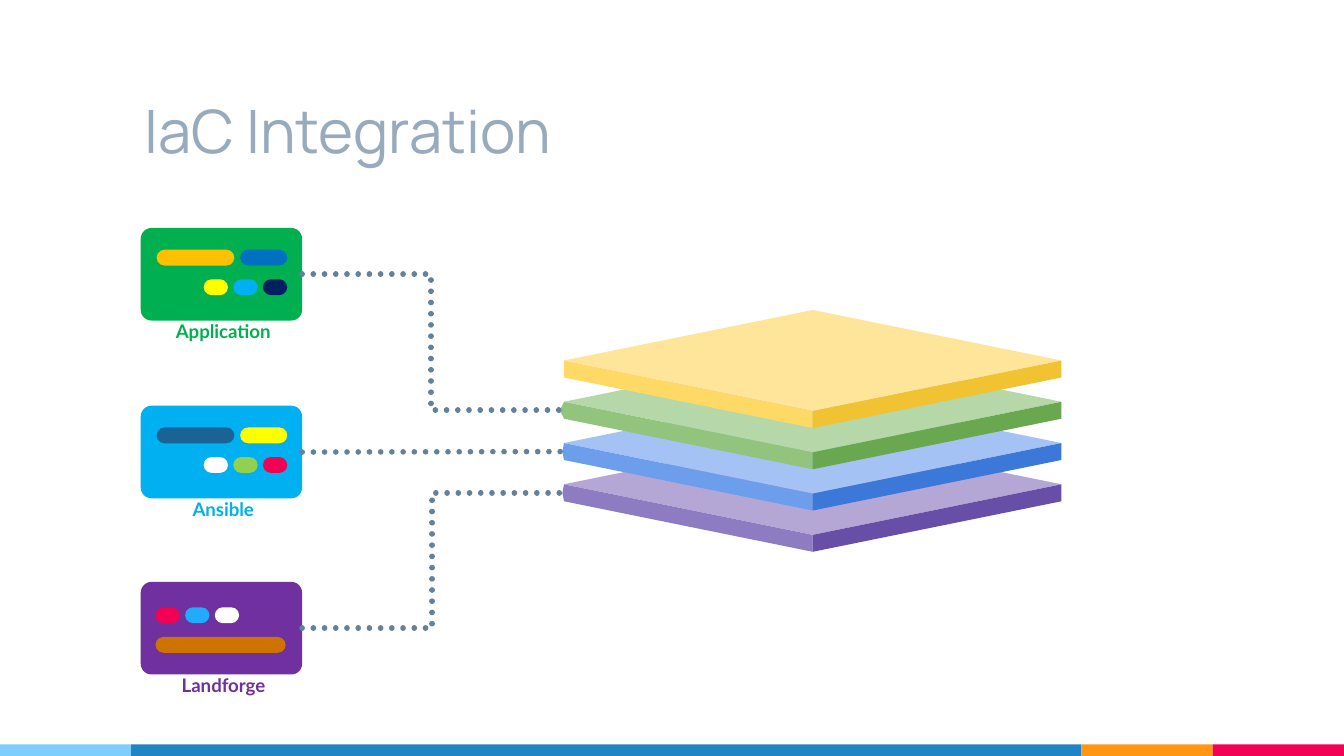
from lxml.etree import SubElement
from pptx import Presentation
from pptx.dml.color import RGBColor
from pptx.enum.dml import MSO_LINE
from pptx.enum.shapes import MSO_CONNECTOR, MSO_SHAPE
from pptx.enum.text import MSO_ANCHOR, MSO_AUTO_SIZE, PP_ALIGN
from pptx.oxml.ns import qn
from pptx.util import Cm, Pt

COLORS = {
    "title": "97ABBC", "link": "64819B", "white": "FFFFFF", "yellow": "FFFF00",
    "green": "00B050", "sky": "00B0F0", "purple": "7030A0", "amber": "FFC000",
    "blue": "0070C0", "navy": "002060", "steel": "196494", "lime": "92D050",
    "red": "F20253", "azure": "21ABFC", "brown": "CF7300",
    "bar_light": "7ECEFD", "bar_blue": "2185C5", "bar_orange": "FF9715",
    "gold_top": "FFE599", "gold_left": "FFD966", "gold_right": "F1C232",
    "green_top": "B6D7A8", "green_left": "93C47D", "green_right": "6AA84F",
    "blue_top": "A4C2F4", "blue_left": "6D9EEB", "blue_right": "3C78D8",
    "violet_top": "B4A7D6", "violet_left": "8E7CC3", "violet_right": "674EA7",
}
CARD_W, CARD_H = 3.05, 1.75
SLAB_W, SLAB_H, SLAB_THICK = 9.4, 1.91, 0.32
SLAB_X, SLAB_Y, SLAB_STEP = 10.66, 5.86, 0.78

# Pills of a card: left, top and width within the card, in cm
PILLS_LONG_FIRST = [(0.3, 0.41, 1.47), (1.88, 0.41, 0.89),
                    (1.19, 0.97, 0.46), (1.75, 0.97, 0.46), (2.31, 0.97, 0.46)]
PILLS_SHORT_FIRST = [(0.28, 0.48, 0.46), (0.84, 0.48, 0.46),
                     (1.4, 0.48, 0.46), (0.28, 1.04, 2.46)]

# Label, label width, top, card colour, pills, pill colours
CARDS = [
    ("Application", 2.36, 4.31, "green", PILLS_LONG_FIRST,
     ["amber", "blue", "yellow", "sky", "navy"]),
    ("Ansible", 1.73, 7.67, "sky", PILLS_LONG_FIRST,
     ["steel", "yellow", "white", "lime", "red"]),
    ("Landforge", 2.16, 11.0, "purple", PILLS_SHORT_FIRST,
     ["red", "azure", "white", "brown"]),
]
# Slab colour and how far its left edge bulges, top to bottom
SLABS = [("gold", 0), ("green", 0.08), ("blue", 0.03), ("violet", 0.03)]


def rgb(name):
    return RGBColor.from_string(COLORS[name])


def paint(s, color):
    s.fill.solid()
    s.fill.fore_color.rgb = rgb(color)
    s.line.fill.background()
    s.shadow.inherit = False


def add_run(p, text, size, font, color, bold=False):
    r = p.add_run()
    r.text = text
    r.font.size, r.font.name, r.font.bold = Pt(size), font, bold
    r.font.color.rgb = rgb(color)


def add_block(shapes, x, y, w, h, color, rounding=None):
    kind = MSO_SHAPE.RECTANGLE if rounding is None else MSO_SHAPE.ROUNDED_RECTANGLE
    s = shapes.add_shape(kind, Cm(x), Cm(y), Cm(w), Cm(h))
    if rounding is not None:
        s.adjustments[0] = rounding
    paint(s, color)


def add_face(shapes, points, color):
    points = [(Cm(x), Cm(y)) for x, y in points]
    builder = shapes.build_freeform(*points[0], scale=1.0)
    builder.add_line_segments(points[1:], close=True)
    paint(builder.convert_to_shape(), color)


def add_title(slide, x, y, w, h):
    s = slide.shapes.title
    s.left, s.top, s.width, s.height = Cm(x), Cm(y), Cm(w), Cm(h)
    tf = s.text_frame
    tf.auto_size = MSO_AUTO_SIZE.NONE
    tf.vertical_anchor = MSO_ANCHOR.BOTTOM
    tf.margin_left = tf.margin_right = tf.margin_top = tf.margin_bottom = Cm(0.25)
    p = tf.paragraphs[0]
    p.alignment = PP_ALIGN.LEFT
    add_run(p, "IaC Integration", 32, "Manrope", "title")


def add_footer_bar(slide, x, y, h):
    for color, w in [("bar_light", 2.48), ("bar_blue", 17.96),
                     ("bar_orange", 2.48), ("red", 2.48)]:
        add_block(slide.shapes, x, y, w, h, color)
        x += w


def add_slab(slide, x, y, w, h, color, bulge):
    """Draw one layer and return the point where a link meets its left edge."""
    shapes = slide.shapes.add_group_shape().shapes
    center, right, side, front = x + w / 2, x + w, y + h / 2, y + h
    mid = side + SLAB_THICK / 2
    add_face(shapes, [(x, side), (center, y), (right, side), (center, front)],
             f"{color}_top")
    add_face(shapes, [(x, side), (x - bulge, mid), (x, side + SLAB_THICK),
                      (center, front + SLAB_THICK), (center, front)], f"{color}_left")
    add_face(shapes, [(right, side), (center, front), (center, front + SLAB_THICK),
                      (right, side + SLAB_THICK)], f"{color}_right")
    return x - bulge, mid


def add_card(slide, x, y, w, h, label, label_w, color, pills, pill_colors):
    """Draw one labelled card and return the middle of its right edge."""
    shapes = slide.shapes.add_group_shape().shapes
    s = shapes.add_textbox(Cm(x + (w - label_w) / 2), Cm(y + 1.61),
                           Cm(label_w), Cm(0.69))
    tf = s.text_frame
    tf.word_wrap = False
    tf.auto_size = MSO_AUTO_SIZE.SHAPE_TO_FIT_TEXT
    p = tf.paragraphs[0]
    p.alignment = PP_ALIGN.RIGHT
    add_run(p, label, 10, "Lato", color, bold=True)
    add_block(shapes, x, y, w, h, color, 0.116)
    for (dx, dy, pill_w), pill_color in zip(pills, pill_colors):
        add_block(shapes, x + dx, y + dy, pill_w, 0.3, pill_color, 0.5)
    return x + w, y + h / 2


def add_link(slide, start, end, kind):
    c = slide.shapes.add_connector(kind, *map(Cm, start + end))
    c.line.color.rgb = rgb("link")
    c.line.width = Pt(3)
    c.line.dash_style = MSO_LINE.ROUND_DOT
    sp_pr = c._element.spPr
    sp_pr.find(qn("a:ln")).set("cap", "rnd")
    SubElement(sp_pr, qn("a:effectLst"))


def main():
    prs = Presentation()
    prs.slide_width, prs.slide_height = Cm(25.4), Cm(14.29)
    slide = prs.slides.add_slide(prs.slide_layouts[5])
    add_footer_bar(slide, 0, 14.07, 0.22)
    add_title(slide, 2.48, 0.99, 17.96, 2.39)

    ends = []
    for i, (color, bulge) in reversed(list(enumerate(SLABS))):
        ends.insert(0, add_slab(slide, SLAB_X, SLAB_Y + i * SLAB_STEP,
                                SLAB_W, SLAB_H, color, bulge))
    starts = [add_card(slide, 2.66, top, CARD_W, CARD_H, label, label_w, *look)
              for label, label_w, top, *look in CARDS]
    kinds = [MSO_CONNECTOR.ELBOW, MSO_CONNECTOR.STRAIGHT, MSO_CONNECTOR.ELBOW]
    for start, end, kind in zip(starts, ends[1:], kinds):
        add_link(slide, start, end, kind)
    prs.save("out.pptx")


if __name__ == "__main__":
    main()
